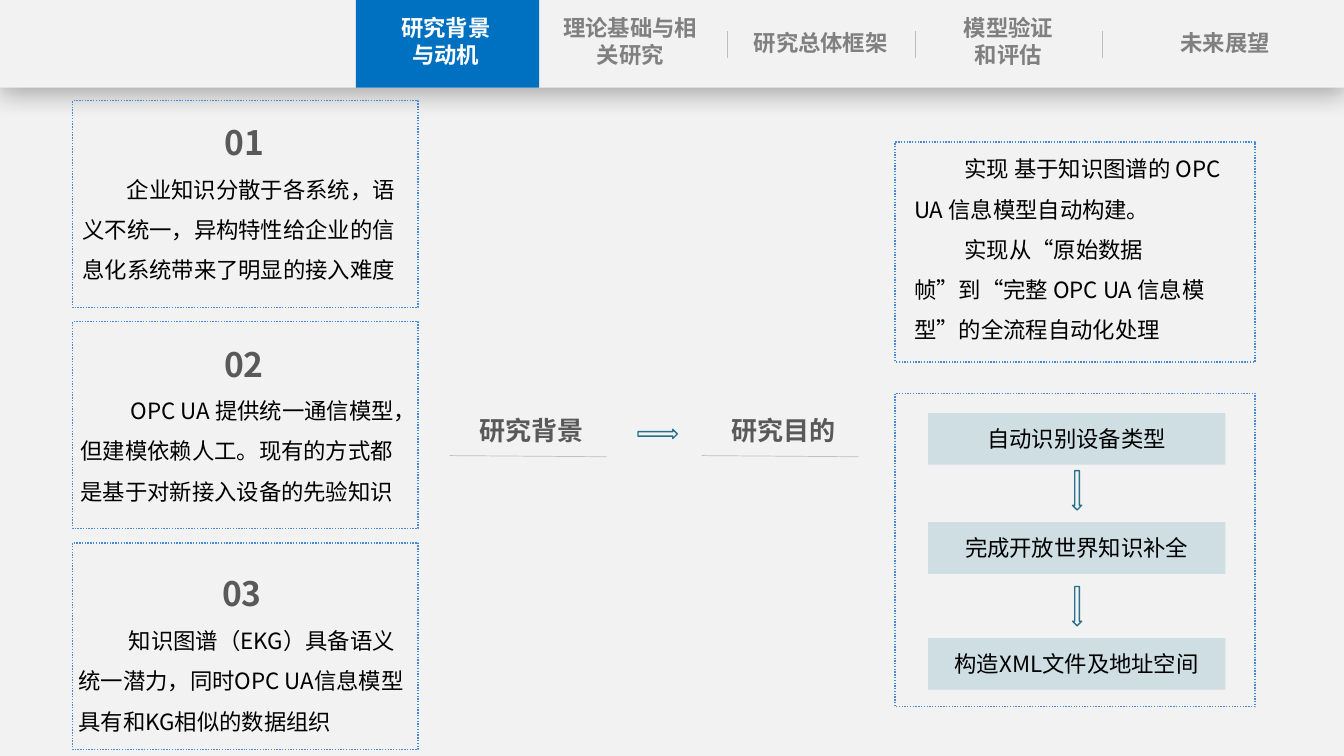
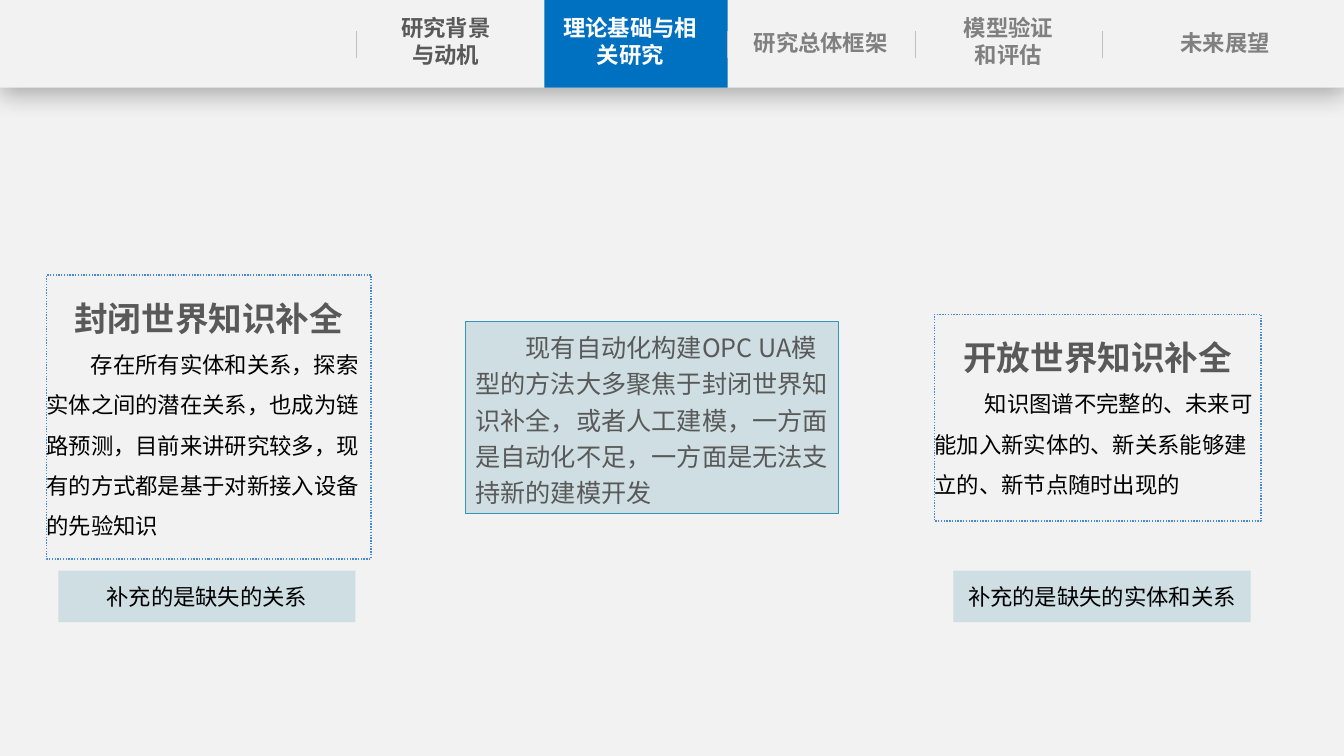
"""Build two research slides that share a tabbed navigation band."""
from dataclasses import dataclass

from lxml.etree import SubElement
from pptx import Presentation
from pptx.dml.color import RGBColor
from pptx.enum.dml import MSO_LINE
from pptx.enum.shapes import MSO_CONNECTOR, MSO_SHAPE
from pptx.enum.text import MSO_ANCHOR, PP_ALIGN
from pptx.oxml.ns import qn
from pptx.presentation import Presentation as Deck
from pptx.shapes.autoshape import Shape
from pptx.slide import Slide
from pptx.text.text import TextFrame
from pptx.util import Cm, Pt

FONT = "Noto Sans CJK SC"
PAPER = RGBColor(0xF2, 0xF2, 0xF2)
ACTIVE_BLUE = RGBColor(0x00, 0x70, 0xC0)
FRAME_BLUE = RGBColor(0x44, 0x8A, 0xD7)
ARROW_BLUE = RGBColor(0x27, 0x6F, 0x8B)
PANEL_LINE = RGBColor(0x34, 0x94, 0xBA)
PANEL_FILL = RGBColor(0xCE, 0xDE, 0xE2)
RULE_GREY = RGBColor(0xBF, 0xBF, 0xBF)
TAB_GREY = RGBColor(0x80, 0x80, 0x80)
DARK_GREY = RGBColor(0x59, 0x59, 0x59)
WHITE = RGBColor(0xFF, 0xFF, 0xFF)
BLACK = RGBColor(0x00, 0x00, 0x00)

SLIDE_WIDTH, SLIDE_HEIGHT = 33.87, 19.05
BAND_HEIGHT = 2.21
TAB_WIDTH = 4.62
LABEL_WIDTH, LABEL_HEIGHT = 7.49, 1.3


@dataclass(frozen=True)
class Box:
    """A rectangle in centimetres."""
    left: float
    top: float
    width: float
    height: float


@dataclass(frozen=True)
class Style:
    """The look of a paragraph; the indent is in centimetres."""
    size: float
    color: RGBColor
    bold: bool = False
    align: PP_ALIGN = PP_ALIGN.LEFT
    indent: float = 0
    spacing: float = 1


@dataclass(frozen=True)
class Tab:
    """A navigation tab with its lines of text."""
    lines: tuple[str, ...]
    left: float
    width: float = 3.73
    top: float = 0.23


@dataclass(frozen=True)
class Card:
    """A dotted frame holding a heading and a body."""
    frame: Box
    text: Box
    heading: str
    body: str
    indent: float = 1.27


HEADING = Style(24, DARK_GREY, True, PP_ALIGN.CENTER, spacing=1.5)
TOPIC = Style(18.6, DARK_GREY, True, PP_ALIGN.CENTER)
LABEL = Style(16, BLACK, align=PP_ALIGN.CENTER)

TABS = (
    Tab(("研究背景", "与动机"), 9.37),
    Tab(("理论基础与相关研究",), 14.02),
    Tab(("研究总体框架",), 18.82, top=0.61),
    Tab(("模型验证", "和评估"), 23.55),
    Tab(("未来展望",), 28.85, 4.06, 0.61),
)

BACKGROUND_CARDS = (
    Card(Box(1.83, 2.54, 8.71, 5.21), Box(2.08, 2.57, 8.18, 4.78), "01",
         "企业知识分散于各系统，语义不统一，异构特性给企业的信息化系统带来了明显的接入难度", 1.12),
    Card(Box(1.83, 8.11, 8.71, 5.21), Box(2.03, 8.15, 8.23, 4.78), "02",
         "OPC UA 提供统一通信模型，但建模依赖人工。现有的方式都是基于对新接入设备的先验知识"),
    Card(Box(1.83, 13.68, 8.71, 5.21), Box(1.98, 13.94, 8.23, 4.57), "03",
         "知识图谱（EKG）具备语义统一潜力，同时OPC UA信息模型具有和KG相似的数据组织"),
)

WORLD_CARDS = (
    Card(Box(1.17, 6.93, 8.18, 7.16), Box(1.17, 6.99, 8.18, 6.83), "封闭世界知识补全",
         "存在所有实体和关系，探索实体之间的潜在关系，也成为链路预测，目前来讲研究较多，"
         "现有的方式都是基于对新接入设备的先验知识", 1.12),
    Card(Box(23.55, 7.92, 8.23, 5.21), Box(23.55, 7.98, 8.23, 4.78), "开放世界知识补全",
         "知识图谱不完整的、未来可能加入新实体的、新关系能够建立的、新节点随时出现的"),
)

GOALS = (
    "实现 基于知识图谱的 OPC UA 信息模型自动构建。",
    "实现从“原始数据帧”到“完整 OPC UA 信息模型”的全流程自动化处理",
)
STEPS = (
    ("自动识别设备类型", 10.41),
    ("完成开放世界知识补全", 13.16),
    ("构造XML文件及地址空间", 16.08),
)
CAPTIONS = (("补充的是缺失的关系", 1.47), ("补充的是缺失的实体和关系", 24.03))
METHOD_SUMMARY = (
    "现有自动化构建OPC UA模型的方法大多聚焦于封闭世界知识补全，或者人工建模，"
    "一方面是自动化不足，一方面是无法支持新的建模开发"
)


def body_style(indent: float = 1.27) -> Style:
    """Return the body style with a first-line indent."""
    return Style(16, BLACK, indent=indent, spacing=1.5)


def write(text_frame: TextFrame, entries: list[tuple[str, Style]]) -> None:
    """Fill a text frame with one paragraph per entry."""
    text_frame.word_wrap = True
    for index, (text, style) in enumerate(entries):
        paragraph = text_frame.add_paragraph() if index else text_frame.paragraphs[0]
        paragraph.text = text
        paragraph.alignment = style.align
        paragraph.line_spacing = style.spacing
        font = paragraph.font
        font.name = FONT
        font.size = Pt(style.size)
        font.bold = style.bold
        font.color.rgb = style.color
        properties = paragraph._p.get_or_add_pPr()
        properties.set("marL", "0")
        properties.set("indent", str(int(Cm(style.indent))))
        east_asian = SubElement(properties.find(qn("a:defRPr")), qn("a:ea"))
        east_asian.set("typeface", FONT)


def add_text(slide: Slide, box: Box, entries: list[tuple[str, Style]], padding: float = 0) -> None:
    """Add a text box without side insets."""
    text_box = slide.shapes.add_textbox(Cm(box.left), Cm(box.top), Cm(box.width), Cm(box.height))
    text_frame = text_box.text_frame
    text_frame.margin_left = text_frame.margin_right = 0
    text_frame.margin_top = text_frame.margin_bottom = Cm(padding)
    write(text_frame, entries)


def add_block(slide: Slide, box: Box, fill: RGBColor | None = None, line: RGBColor | None = None,
              weight: float = 1, kind: MSO_SHAPE = MSO_SHAPE.RECTANGLE) -> Shape:
    """Add a preset shape with an optional fill and outline."""
    shape = slide.shapes.add_shape(kind, Cm(box.left), Cm(box.top), Cm(box.width), Cm(box.height))
    shape.shadow.inherit = False
    if fill is None:
        shape.fill.background()
    else:
        shape.fill.solid()
        shape.fill.fore_color.rgb = fill
    if line is None:
        shape.line.fill.background()
    else:
        shape.line.color.rgb = line
        shape.line.width = Pt(weight)
    return shape


def add_frame(slide: Slide, box: Box) -> None:
    """Add a dotted blue frame."""
    add_block(slide, box, line=FRAME_BLUE).line.dash_style = MSO_LINE.ROUND_DOT


def add_label(slide: Slide, text: str, left: float, top: float) -> None:
    """Add a pale block with a centred label."""
    shape = add_block(slide, Box(left, top, LABEL_WIDTH, LABEL_HEIGHT), PANEL_FILL)
    shape.text_frame.vertical_anchor = MSO_ANCHOR.MIDDLE
    write(shape.text_frame, [(text, LABEL)])


def add_rule(slide: Slide, left: float, top: float, right: float, bottom: float) -> None:
    """Add a thin grey line."""
    rule = slide.shapes.add_connector(
        MSO_CONNECTOR.STRAIGHT, Cm(left), Cm(top), Cm(right), Cm(bottom))
    rule.line.color.rgb = RULE_GREY
    rule.line.width = Pt(0.5)
    SubElement(rule._element.spPr, qn("a:effectLst"))


def add_card(slide: Slide, card: Card) -> None:
    """Add a framed heading with its body."""
    add_frame(slide, card.frame)
    add_text(slide, card.text, [(card.heading, HEADING), (card.body, body_style(card.indent))])


def add_band_shadow(band: Shape) -> None:
    """Add a soft shadow below the navigation band."""
    effects = band._element.spPr.find(qn("a:effectLst"))
    shadow = SubElement(effects, qn("a:outerShdw"), blurRad=str(int(Pt(18))),
                        dist=str(int(Pt(4))), dir="5400000", algn="t", rotWithShape="0")
    color = SubElement(shadow, qn("a:srgbClr"), val="000000")
    SubElement(color, qn("a:alpha"), val="29000")


def add_navigation(slide: Slide, active: int, active_left: float, dividers: list[float]) -> None:
    """Add the band, the active tab, the dividers and the tab names."""
    add_band_shadow(add_block(slide, Box(0, 0, SLIDE_WIDTH, BAND_HEIGHT), PAPER))
    add_block(slide, Box(active_left, 0, TAB_WIDTH, BAND_HEIGHT), ACTIVE_BLUE)
    for left in dividers:
        add_rule(slide, left, 0.79, left, 1.47)
    for index, tab in enumerate(TABS):
        color = WHITE if index == active else DARK_GREY if index < active else TAB_GREY
        style = Style(16, color, True, PP_ALIGN.CENTER)
        height = BAND_HEIGHT - 2 * tab.top
        add_text(slide, Box(tab.left, tab.top, tab.width, height),
                 [(line, style) for line in tab.lines], 0.13)


def add_slide(presentation: Deck) -> Slide:
    """Add a slide on the blank layout."""
    return presentation.slides.add_slide(presentation.slide_layouts[6])


def build_background_slide(presentation: Deck) -> None:
    """Build the slide on research background and purpose."""
    slide = add_slide(presentation)
    add_navigation(slide, 0, 8.97, [18.34, 23.06, 27.79])
    for card in BACKGROUND_CARDS:
        add_card(slide, card)
    for topic, left in (("研究背景", 11.33), ("研究目的", 17.68)):
        add_rule(slide, left, 11.48, left + 3.96, 11.51)
        add_text(slide, Box(left + 0.33, 10.31, 3.45, 1.07), [(topic, TOPIC)], 0.13)
    add_block(slide, Box(16.08, 10.82, 0.99, 0.23), line=ARROW_BLUE, kind=MSO_SHAPE.RIGHT_ARROW)
    add_frame(slide, Box(22.56, 3.58, 9.07, 5.54))
    add_text(slide, Box(23.04, 3.58, 8.23, 4.7), [(goal, body_style()) for goal in GOALS])
    add_frame(slide, Box(22.56, 9.91, 9.07, 7.9))
    for index, (step, top) in enumerate(STEPS):
        add_label(slide, step, 23.39, top)
        if index < len(STEPS) - 1:
            arrow_top = STEPS[index + 1][1] - 1.3
            add_block(slide, Box(27.03, arrow_top, 0.23, 0.99), line=ARROW_BLUE,
                      kind=MSO_SHAPE.DOWN_ARROW)


def build_theory_slide(presentation: Deck) -> None:
    """Build the slide comparing closed and open worlds."""
    slide = add_slide(presentation)
    add_navigation(slide, 1, 13.72, [8.97, 18.34, 23.06, 27.79])
    for card in WORLD_CARDS:
        add_card(slide, card)
    panel = add_block(slide, Box(11.73, 8.1, 9.4, 4.85), PANEL_FILL, PANEL_LINE, 0.75)
    panel.text_frame.vertical_anchor = MSO_ANCHOR.TOP
    write(panel.text_frame, [(METHOD_SUMMARY, Style(18, DARK_GREY, indent=1.27, spacing=1.2))])
    for caption, left in CAPTIONS:
        add_label(slide, caption, left, 14.38)


def main() -> None:
    """Build and save the presentation."""
    presentation = Presentation()
    presentation.slide_width = Cm(SLIDE_WIDTH)
    presentation.slide_height = Cm(SLIDE_HEIGHT)
    background = presentation.slide_master.background.fill
    background.solid()
    background.fore_color.rgb = PAPER
    build_background_slide(presentation)
    build_theory_slide(presentation)
    presentation.save("out.pptx")


if __name__ == "__main__":
    main()
